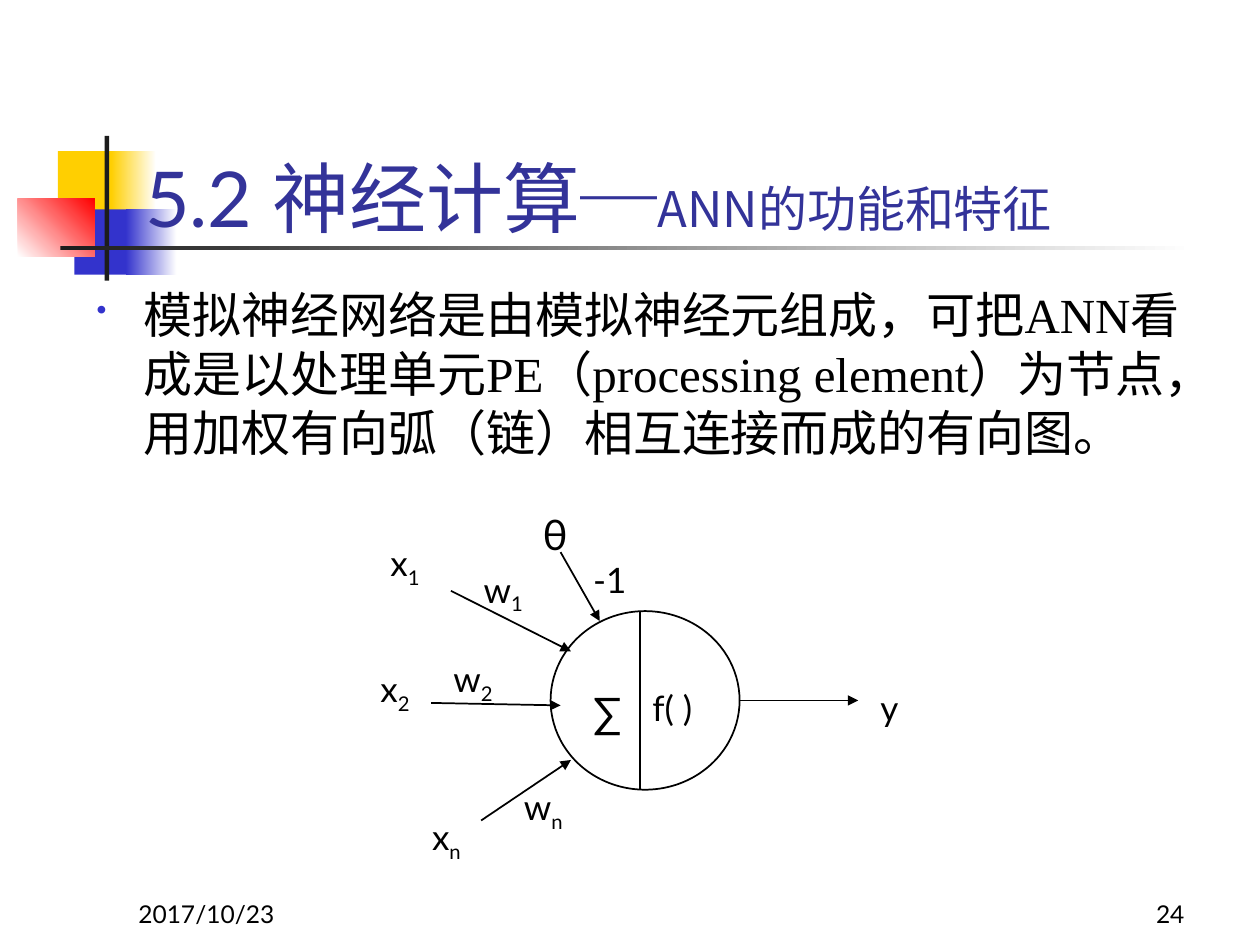
"""Build the slide on neural computing with a model of one neuron."""
import dataclasses

import pptx
import pptx.dml.color
import pptx.enum.shapes
import pptx.enum.text
import pptx.oxml.ns
import pptx.util
from lxml import etree

Cm, Pt = pptx.util.Cm, pptx.util.Pt
RGB = pptx.dml.color.RGBColor.from_string
Kind = pptx.enum.shapes.MSO_SHAPE
Align = pptx.enum.text.PP_ALIGN
Anchor = pptx.enum.text.MSO_ANCHOR
Fit = pptx.enum.text.MSO_AUTO_SIZE
qn = pptx.oxml.ns.qn


@dataclasses.dataclass(frozen=True)
class Theme:
    sans: str = "Lato"
    asian: str = "Noto Sans CJK JP"
    serif: str = "Times New Roman"
    black: str = "000000"
    white: str = "FFFFFF"
    dark: str = "1C1C1C"
    navy: str = "333399"
    blue: str = "3333CC"
    gold: str = "FFCF01"
    red: str = "FF0000"
    title: int = 44
    body: int = 28
    symbol: int = 24
    label: int = 20
    small: int = 14
    line: int = 1


class Deck:
    def __init__(self, theme):
        self.theme = theme
        self.prs = pptx.Presentation()
        self.prs.slide_width, self.prs.slide_height = Cm(25.4), Cm(19.05)
        self.slide = self.prs.slides.add_slide(self.prs.slide_layouts[5])
        self.shapes = self.slide.shapes

    def run(self, para, text, size, font=None, color=None, base=None):
        run = para.add_run()
        run.text = text
        run.font.size = Pt(size)
        run.font.name = font or self.theme.sans
        run.font.color.rgb = RGB(color or self.theme.black)
        props = run.font._element
        etree.SubElement(props, qn("a:ea"), typeface=self.theme.asian)
        if base:
            props.set("baseline", str(base * 1000))

    def block(self, box, color, end=None, angle=0):
        shape = self.shapes.add_shape(Kind.RECTANGLE, *map(Cm, box))
        shape.shadow.inherit = False
        shape.line.fill.background()
        if end is None:
            shape.fill.solid()
            shape.fill.fore_color.rgb = RGB(color)
            return
        shape.fill.gradient()
        shape.fill.gradient_angle = angle
        for stop, tone in zip(shape.fill.gradient_stops, (color, end)):
            stop.color.rgb = RGB(tone)

    def title(self, box, parts):
        shape = self.shapes.title
        shape.left, shape.top, shape.width, shape.height = map(Cm, box)
        self.shapes._spTree.append(shape._element)
        frame = shape.text_frame
        frame.word_wrap = True
        frame.auto_size = Fit.NONE
        frame.vertical_anchor = Anchor.BOTTOM
        para = frame.paragraphs[0]
        para.alignment = Align.LEFT
        for part in parts:
            self.run(para, *part)

    def text(self, box, parts, align=Align.LEFT, anchor=Anchor.TOP, fit=Fit.NONE):
        frame = self.shapes.add_textbox(*map(Cm, box)).text_frame
        frame.word_wrap = True
        frame.auto_size = fit
        frame.vertical_anchor = anchor
        para = frame.paragraphs[0]
        para.alignment = align
        for part in parts:
            self.run(para, *part)
        return para

    def bullet(self, box, parts):
        props = self.text(box, parts)._p.get_or_add_pPr()
        props.set("marL", str(Cm(0.95)))
        props.set("indent", str(-Cm(0.95)))
        tint = etree.SubElement(props, qn("a:buClr"))
        etree.SubElement(tint, qn("a:srgbClr"), val=self.theme.blue)
        etree.SubElement(props, qn("a:buSzPct"), val="60000")
        etree.SubElement(props, qn("a:buChar"), char="•")

    def label(self, left, top, width, text, sub=None, size=None):
        size = size or self.theme.label
        parts = [(text, size)]
        if sub:
            parts.append((sub, size, None, None, -25))
        height = 1.27 if size == self.theme.symbol else 1.09
        self.text((left, top, width, height), parts, fit=Fit.SHAPE_TO_FIT_TEXT)

    def circle(self, box):
        shape = self.shapes.add_shape(Kind.OVAL, *map(Cm, box))
        shape.shadow.inherit = False
        shape.fill.background()
        shape.line.color.rgb = RGB(self.theme.black)
        shape.line.width = Pt(self.theme.line)

    def line(self, ends, arrow=True):
        kind = pptx.enum.shapes.MSO_CONNECTOR.STRAIGHT
        link = self.shapes.add_connector(kind, *map(Cm, ends))
        link.line.color.rgb = RGB(self.theme.black)
        link.line.width = Pt(self.theme.line)
        if arrow:
            etree.SubElement(link.line._get_or_add_ln(), qn("a:tailEnd"), type="triangle")
        etree.SubElement(link._element.spPr, qn("a:effectLst"))


def main():
    look = Theme()
    deck = Deck(look)

    for box, *fill in (
        ((1.17, 3.05, 1.22, 1.32), look.gold),
        ((2.24, 3.05, 0.91, 1.32), look.gold, look.white),
        ((1.5, 4.22, 1.17, 1.32), look.blue),
        ((2.54, 4.22, 1.02, 1.32), look.blue, look.white),
        ((0.36, 4.01, 1.55, 1.17), look.white, look.red, 45),
        ((2.11, 2.74, 0.09, 2.92), look.dark),
        ((1.22, 4.95, 22.86, 0.09), look.dark, look.white),
    ):
        deck.block(box, *fill)

    foot = dict(anchor=Anchor.BOTTOM)
    deck.text((2.54, 17.58, 5.28, 1.27), [("2017/10/23", look.small)], **foot)
    deck.text((18.85, 17.58, 5.28, 1.27), [("24", look.small)], Align.RIGHT, **foot)

    deck.title((2.67, 1.85, 22.25, 3.18), [
        ("5.2 神经计算─", look.title, look.sans, look.navy),
        ("ANN的功能和特征", look.body, look.asian, look.navy),
    ])
    deck.bullet((1.7, 5.61, 23.16, 4.78), [(
        "模拟神经网络是由模拟神经元组成，可把ANN看成是以处理单元PE"
        "（processing element）为节点，用加权有向弧（链）相互连接而成的有向图。",
        look.body, look.serif)])

    left, top, width, height = 11.1, 12.32, 3.81, 3.6
    deck.circle((left, top, width, height))
    deck.line((12.9, top, 12.9, top + height), arrow=False)
    right, mid = left + width, top + height / 2
    for ends in (
        (right, mid, 17.3, mid),
        (11.3, 11.13, 12.09, 12.52),
        (9.09, 11.91, 11.51, 13.13),
        (8.69, 14.17, 11.3, 14.22),
        (9.7, 16.54, 11.51, 15.32),
    ):
        deck.line(ends)

    for spot in (
        (11.71, 13.72, 0.99, "∑", None, look.symbol),
        (12.9, 13.72, 1.6, "f( )"),
        (10.69, 10.13, 0.99, "θ", None, look.symbol),
        (11.71, 11.13, 2.01, "-1"),
        (7.62, 10.8, 1.27, "x", "1"),
        (7.42, 13.34, 2.01, "x", "2"),
        (8.46, 16.31, 1.47, "x", "n"),
        (9.5, 11.33, 2.01, "w", "1"),
        (10.31, 15.72, 2.01, "w", "n"),
        (8.89, 13.13, 2.01, "w", "2"),
        (17.5, 13.72, 1.6, "y"),
    ):
        deck.label(*spot)

    deck.prs.save("out.pptx")


if __name__ == "__main__":
    main()
